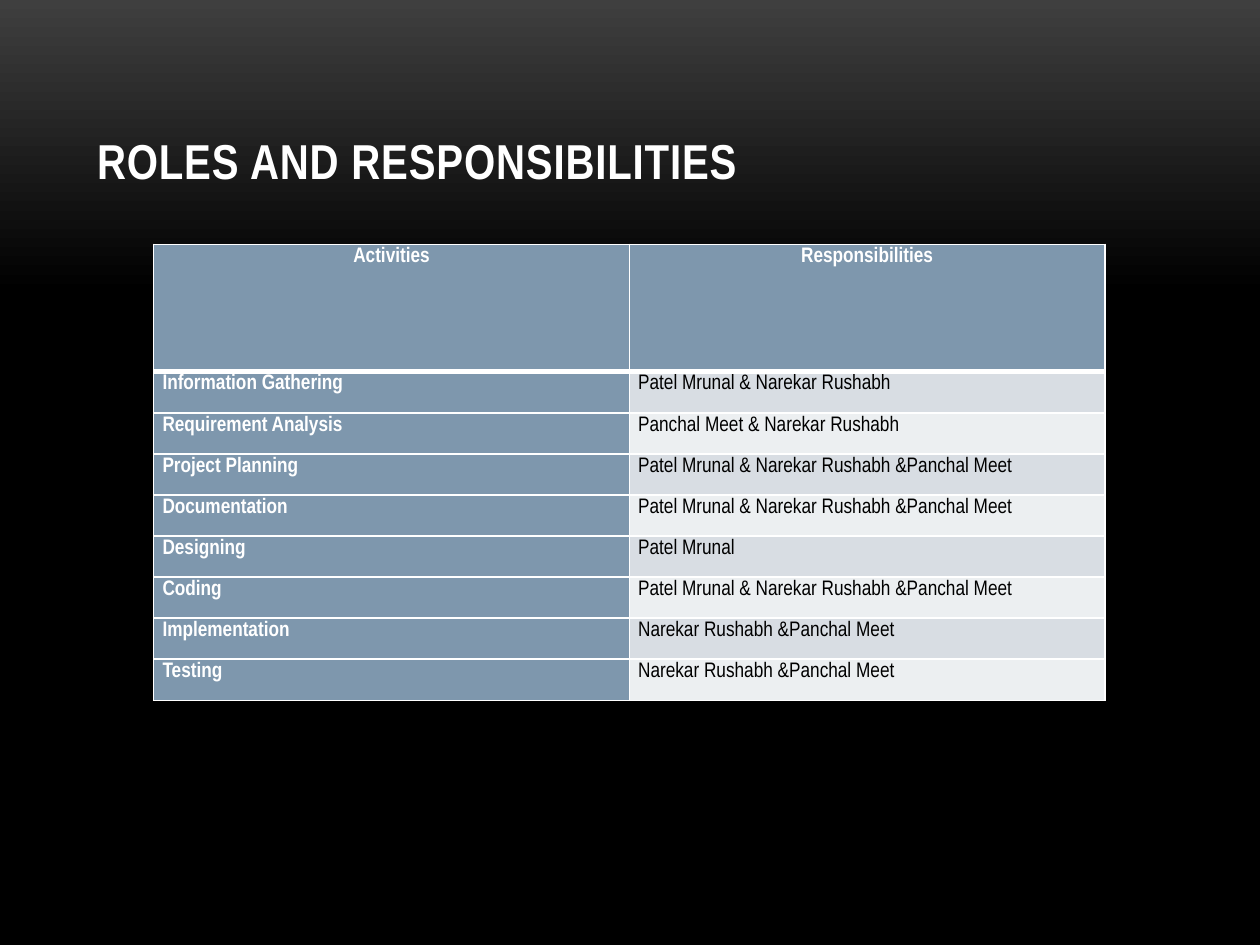
"""Build the roles and responsibilities slide with its table of activities."""
from lxml.etree import SubElement
from pptx import Presentation
from pptx.dml.color import RGBColor
from pptx.enum.text import MSO_ANCHOR, PP_ALIGN
from pptx.oxml.ns import qn
from pptx.util import Inches, Pt

FONT = "Arial Narrow"
WHITE = RGBColor(0xFF, 0xFF, 0xFF)
BLACK = RGBColor(0x00, 0x00, 0x00)
CHARCOAL = RGBColor(0x3F, 0x3F, 0x3F)
STEEL = RGBColor(0x7E, 0x97, 0xAD)
BANDS = [RGBColor(0xEC, 0xEF, 0xF1), RGBColor(0xD8, 0xDD, 0xE3)]

EVERYONE = "Patel Mrunal & Narekar Rushabh &Panchal Meet"
ROWS = [
    ("Activities", "Responsibilities"),
    ("Information Gathering", "Patel Mrunal & Narekar Rushabh"),
    ("Requirement Analysis", "Panchal Meet & Narekar Rushabh"),
    ("Project Planning", EVERYONE),
    ("Documentation", EVERYONE),
    ("Designing", "Patel Mrunal"),
    ("Coding", EVERYONE),
    ("Implementation", "Narekar Rushabh &Panchal Meet"),
    ("Testing", "Narekar Rushabh &Panchal Meet"),
]
TABLE_WIDTH, TABLE_HEIGHT, HEADER_HEIGHT = Inches(7.55), Inches(3.62), Inches(1.01)


def style_font(font, size, color, bold):
    font.name = FONT
    font.size = Pt(size)
    font.color.rgb = color
    font.bold = bold


def add_borders(cell, widths):
    properties = cell._tc.get_or_add_tcPr()
    for position, (side, width) in enumerate(widths.items()):
        line = SubElement(properties, qn(f"a:ln{side}"), w=str(Pt(width)))
        fill = SubElement(line, qn("a:solidFill"))
        SubElement(fill, qn("a:srgbClr"), val=str(WHITE))
        properties.insert(position, line)


presentation = Presentation()
presentation.slide_width = Inches(10)
presentation.slide_height = Inches(7.5)
slide = presentation.slides.add_slide(presentation.slide_layouts[5])

background = slide.background.fill
background.gradient()
background.gradient_angle = 270
for stop, color, position in zip(background.gradient_stops, (CHARCOAL, BLACK), (0, 0.31)):
    stop.color.rgb = color
    stop.position = position

title = slide.shapes.title
title.left, title.top = Inches(0.67), Inches(0.3)
title.width, title.height = Inches(8.67), Inches(1.25)
title.text_frame.text = "ROLES AND RESPONSIBILITIES"
title.text_frame.vertical_anchor = MSO_ANCHOR.BOTTOM
paragraph = title.text_frame.paragraphs[0]
paragraph.alignment = PP_ALIGN.LEFT
run = paragraph.runs[0]
style_font(run.font, 28, WHITE, True)
run._r.get_or_add_rPr().set("spc", "50")

table = slide.shapes.add_table(
    len(ROWS), 2, Inches(1.22), Inches(1.94), TABLE_WIDTH, TABLE_HEIGHT
).table
for column in table.columns:
    column.width = TABLE_WIDTH // 2
for index, row in enumerate(table.rows):
    row.height = (TABLE_HEIGHT - HEADER_HEIGHT) // (len(ROWS) - 1) if index else HEADER_HEIGHT

for row_index, texts in enumerate(ROWS):
    for column_index, text in enumerate(texts):
        heading = row_index == 0 or column_index == 0
        cell = table.cell(row_index, column_index)
        cell.margin_left = cell.margin_right = Inches(0.07)
        cell.margin_top = cell.margin_bottom = 0
        cell.fill.solid()
        cell.fill.fore_color.rgb = STEEL if heading else BANDS[row_index % 2]
        add_borders(cell, {
            "L": 1, "R": 1,
            "T": 3 if row_index == 1 else 1,
            "B": 3 if row_index == 0 else 1,
        })
        cell.text_frame.text = text
        paragraph = cell.text_frame.paragraphs[0]
        paragraph.alignment = PP_ALIGN.LEFT if row_index else PP_ALIGN.CENTER
        paragraph.line_spacing = 1.15
        paragraph.space_before = paragraph.space_after = Pt(1.5)
        style_font(paragraph.runs[0].font, 12, WHITE if heading else BLACK, heading)

presentation.save("out.pptx")
